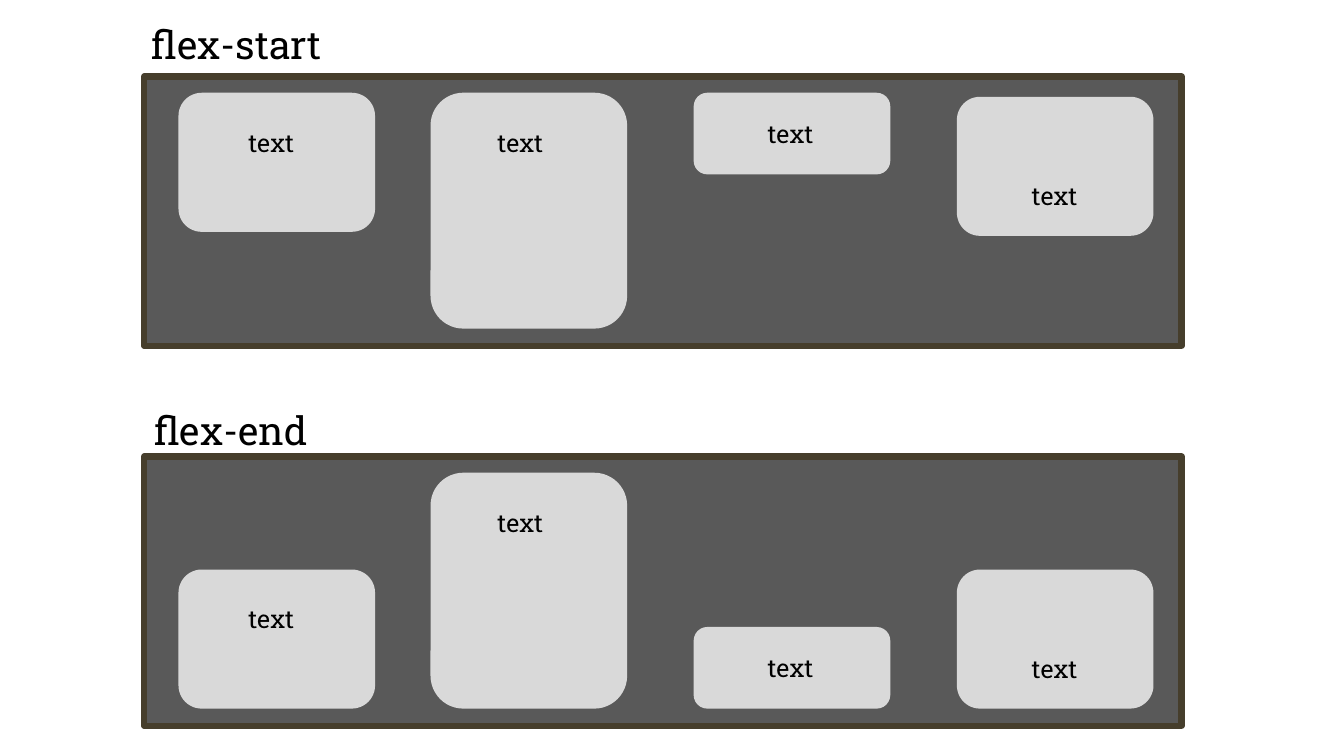
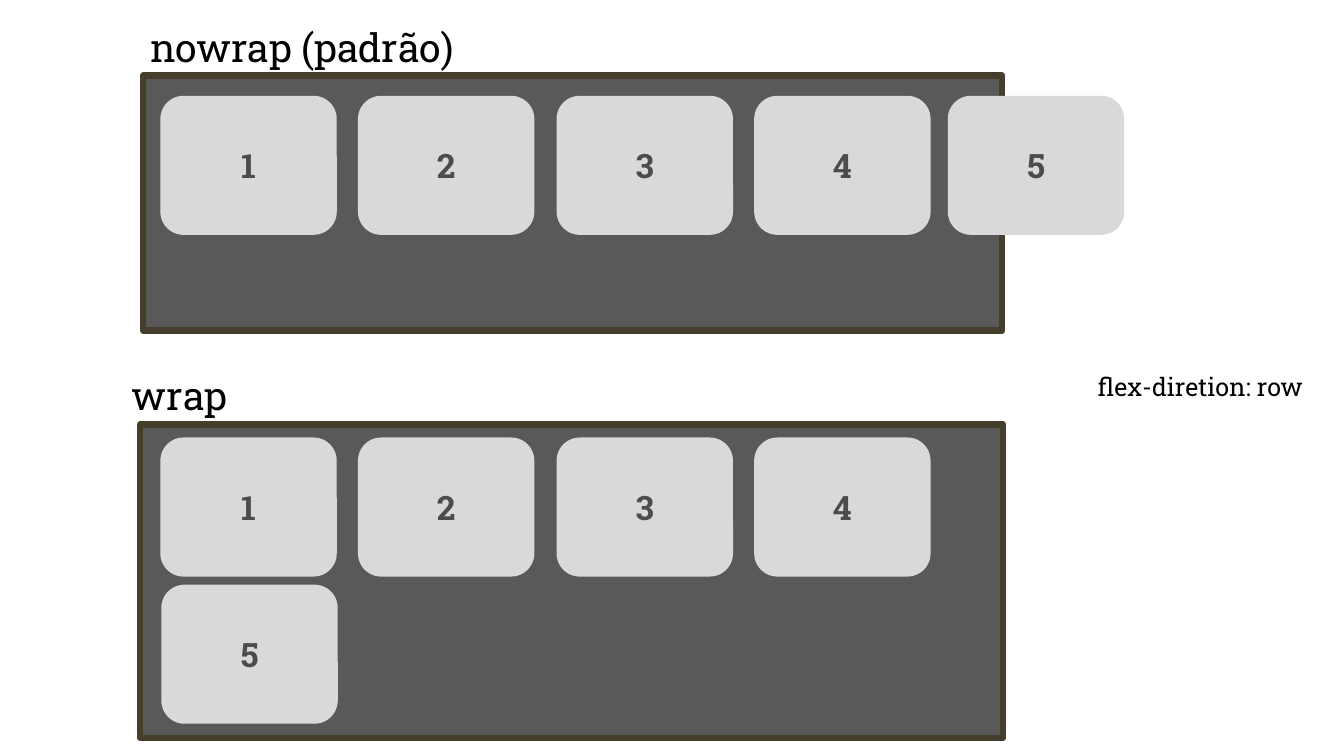
import pptx
import pptx.dml.color
import pptx.enum.shapes
import pptx.enum.text
import pptx.util

PX = 9144
FACE = "Roboto Slab"
BLACK, INK = "000000", "4F4B4B"
PANEL, EDGE, CARD = "595959", "463E2C", "D9D9D9"
KIND = pptx.enum.shapes.MSO_SHAPE
ALIGN = pptx.enum.text.PP_ALIGN
ANCHOR = pptx.enum.text.MSO_ANCHOR
HEAD = {"size": pptx.util.Pt(28), "bold": False}
LABEL = {"size": pptx.util.Pt(18), "bold": False}
DIGIT = {"size": pptx.util.Pt(24), "bold": True}
FLEX = [(177, 216, 138, 29), (427, 463, 234, 29),
        (688, 731, 81, 20), (949, 993, 138, 78)]


def px(*sizes):
    """Turn pixel lengths into EMU."""
    return [size * PX for size in sizes]


def tint(code):
    """Turn a hex string into a colour."""
    return pptx.dml.color.RGBColor.from_string(code)


def write(shape, text, form, color=BLACK, align=ALIGN.LEFT, anchor=ANCHOR.TOP):
    """Fill a shape with one formatted paragraph."""
    frame = shape.text_frame
    frame.text = text
    look = {"word_wrap": True, "vertical_anchor": anchor,
            "auto_size": pptx.enum.text.MSO_AUTO_SIZE.NONE}
    for name, value in look.items():
        setattr(frame, name, value)
    para = frame.paragraphs[0]
    para.alignment = align
    font = para.runs[0].font
    for name, value in {**form, "name": FACE}.items():
        setattr(font, name, value)
    font.color.rgb = tint(color)


def head(slide, text, box):
    """Place the slide title."""
    title = slide.shapes.title
    for name, value in zip(("left", "top", "width", "height"), px(*box)):
        setattr(title, name, value)
    write(title, text, HEAD)


def note(slide, text, box, form=LABEL, align=ALIGN.LEFT):
    """Add a text box."""
    write(slide.shapes.add_textbox(*px(*box)), text, form, align=align)


def block(slide, kind, box, fill):
    """Add a filled shape without outline or shadow."""
    shape = slide.shapes.add_shape(kind, *px(*box))
    shape.shadow.inherit = False
    shape.fill.solid()
    shape.fill.fore_color.rgb = tint(fill)
    shape.line.fill.background()
    return shape


def panel(slide, box):
    """Add a dark container with a thick border."""
    line = block(slide, KIND.RECTANGLE, box, PANEL).line
    line.color.rgb = tint(EDGE)
    line.width = pptx.util.Pt(4.5)


def card(slide, box):
    """Add a light rounded card."""
    return block(slide, KIND.ROUNDED_RECTANGLE, box, CARD)


def flex(slide, top, tops):
    """Add a container with four cards at the given tops."""
    panel(slide, (143, top, 1029, 267))
    for (left, inner, high, drop), y in zip(FLEX, tops):
        card(slide, (left, y, 195, high))
        note(slide, "text", (inner, y + drop, 106, 40), align=ALIGN.CENTER)


def row(slide, box, top, last):
    """Add a container with four cards in a row and a fifth at last."""
    panel(slide, box)
    spots = [(159 + round(196.4 * step), top) for step in range(4)] + [last]
    for count, spot in enumerate(spots, 1):
        write(card(slide, (*spot, 175, 138)), str(count), DIGIT, INK,
              ALIGN.CENTER, ANCHOR.MIDDLE)


def align_page(slide):
    """Build the slide on flex-start and flex-end."""
    head(slide, "flex-start", (140, 15, 231, 57))
    flex(slide, 76, [92, 92, 92, 96])
    note(slide, "flex-end", (143, 398, 342, 57), HEAD)
    flex(slide, 453, [703 - high for _, _, high, _ in FLEX])


def wrap_page(slide):
    """Build the slide on nowrap and wrap."""
    head(slide, "nowrap (padrão)", (139, 18, 385, 57))
    row(slide, (142, 75, 852, 253), 95, (940, 95))
    note(slide, "wrap", (121, 363, 342, 57), HEAD)
    row(slide, (139, 421, 856, 311), 434, (160, 580))
    note(slide, "flex-diretion: row", (1079, 363, 226, 40))


def main():
    """Build and save the deck."""
    deck = pptx.Presentation()
    deck.slide_width, deck.slide_height = px(1333, 750)
    for build in (align_page, wrap_page):
        build(deck.slides.add_slide(deck.slide_layouts[5]))
    deck.save("out.pptx")


if __name__ == "__main__":
    main()
